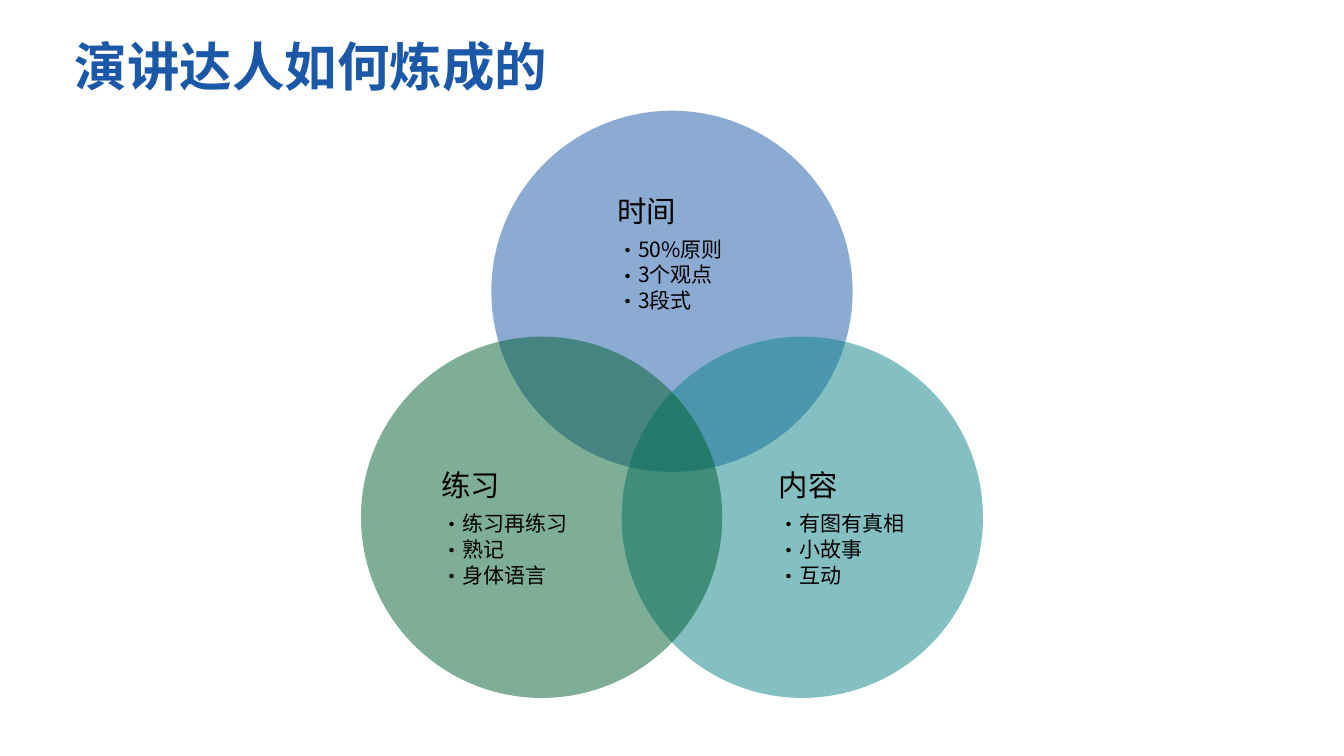
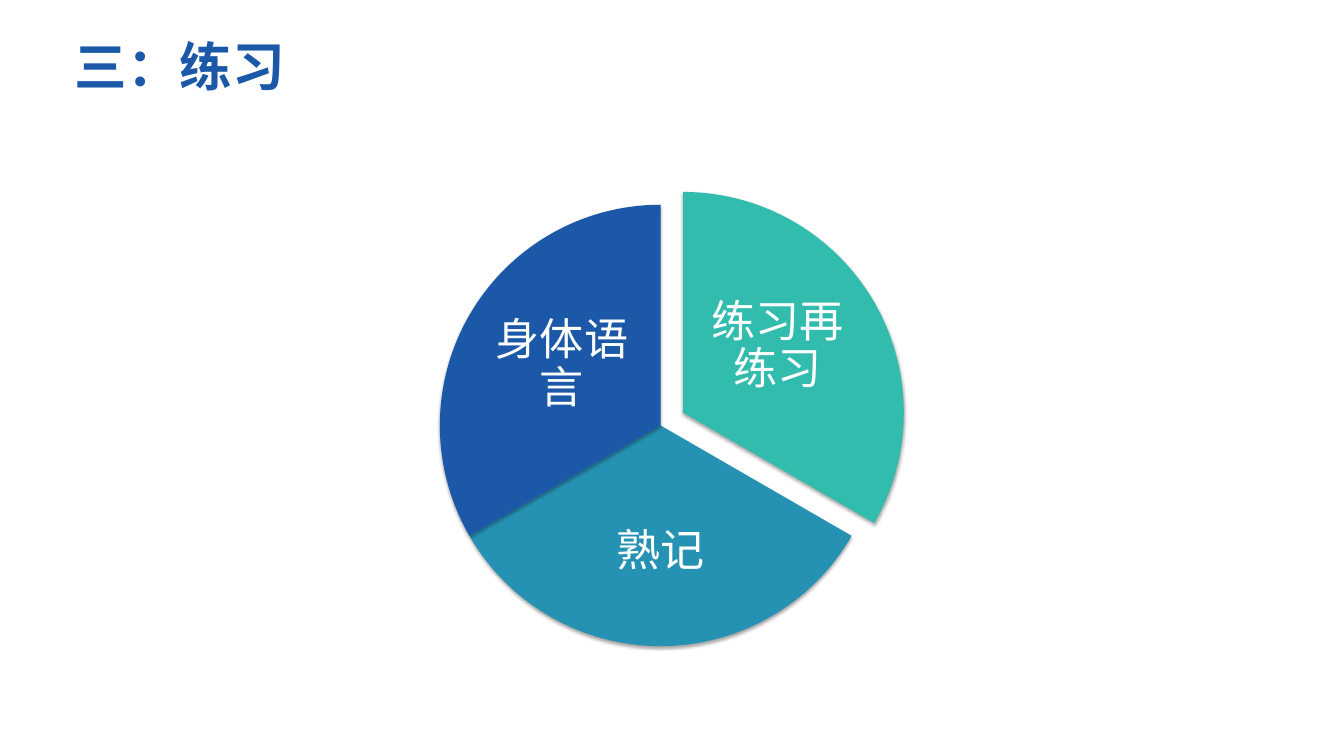
from lxml import etree
from pptx import Presentation
from pptx.dml.color import RGBColor
from pptx.enum.shapes import MSO_SHAPE as Shape
from pptx.enum.text import MSO_ANCHOR as Anchor, PP_ALIGN as Align
from pptx.oxml import parse_xml
from pptx.oxml.ns import nsdecls, qn
from pptx.util import Cm, Pt

COLORS = {"blue": "1B58A8", "teal": "0A8286", "green": "005E30",
          "mint": "32BCAD", "cyan": "2692B3", "black": "000000", "white": "FFFFFF"}
FONT = "Noto Sans CJK SC"
SHADOW = (f'<a:effectLst {nsdecls("a")}><a:outerShdw blurRad="40000" dist="23000" dir="5400000" '
          f'rotWithShape="0"><a:srgbClr val="{COLORS["black"]}"><a:alpha val="35000"/>'
          '</a:srgbClr></a:outerShdw></a:effectLst>')


def add_run(paragraph, text, size, color, bold=False):
    run = paragraph.add_run()
    run.text = text
    run.font.size = Pt(size)
    run.font.bold = bold
    run.font.name = FONT
    run.font.color.rgb = RGBColor.from_string(COLORS[color])
    etree.SubElement(run.font._element, qn("a:ea"), typeface=FONT)


def add_label(slide, left, top, width, height, inset):
    frame = slide.shapes.add_textbox(Cm(left), Cm(top), Cm(width), Cm(height)).text_frame
    frame.word_wrap = True
    frame.vertical_anchor = Anchor.MIDDLE
    frame.margin_left = frame.margin_right = Cm(inset)
    frame.margin_top = frame.margin_bottom = Cm(inset)
    return frame


prs = Presentation()
prs.slide_width, prs.slide_height = Cm(45.16), Cm(25.4)

slides = []
for heading in ("演讲达人如何炼成的", "三：练习"):
    slide = prs.slides.add_slide(prs.slide_layouts[5])
    title = slide.shapes.title
    title.left, title.top, title.width, title.height = Cm(2.26), Cm(1.02), Cm(40.64), Cm(4.24)
    title.text_frame.vertical_anchor = Anchor.TOP
    title.text_frame.paragraphs[0].alignment = Align.LEFT
    add_run(title.text_frame.paragraphs[0], heading, 50, "blue", bold=True)
    slides.append(slide)
venn_slide, pie_slide = slides

circle_size = 12.14
skills = [
    ("时间", ("50%原则", "3个观点", "3段式"), "blue",
     (16.51, 3.72), (18.14, 5.84, 8.92, 5.46), 2.6),
    ("内容", ("有图有真相", "小故事", "互动"), "teal",
     (20.89, 11.31), (24.61, 14.45, 7.29, 6.68), 1.56),
    ("练习", ("练习再练习", "熟记", "身体语言"), "green",
     (12.13, 11.31), (13.26, 14.45, 7.29, 6.68), 1.56),
]
for skill, points, color, (left, top), label_box, text_start in skills:
    circle = venn_slide.shapes.add_shape(
        Shape.OVAL, Cm(left), Cm(top), Cm(circle_size), Cm(circle_size))
    circle.shadow.inherit = False
    circle.fill.solid()
    circle.fill.fore_color.rgb = RGBColor.from_string(COLORS[color])
    circle.line.fill.background()
    etree.SubElement(circle._element.spPr.find(".//" + qn("a:srgbClr")), qn("a:alpha"), val="50000")

    label = add_label(venn_slide, *label_box, inset=0)
    label.margin_left = Cm(text_start)
    skill_line = label.paragraphs[0]
    skill_line.line_spacing = 0.9
    skill_line.space_after = Pt(10)
    add_run(skill_line, skill, 28, "black")
    for point in points:
        point_line = label.add_paragraph()
        point_line.level = 1
        point_line.line_spacing = 0.9
        point_line.space_after = Pt(3)
        add_run(point_line, point, 20, "black")
        properties = point_line._p.get_or_add_pPr()
        properties.set("marL", str(Cm(0.64)))
        properties.set("indent", str(-Cm(0.64)))
        etree.SubElement(properties, qn("a:buFont"), typeface=FONT)
        etree.SubElement(properties, qn("a:buChar"), char="•")

pie_size = 14.83
practices = [
    ("练习再练习", "mint", (15.54, 6.45), (162, 18), (23.62, 9.17, 5.03, 4.95)),
    ("熟记", "cyan", (14.78, 6.88), (18, 90), (18.85, 16.25, 6.71, 4.6)),
    ("身体语言", "blue", (14.78, 6.88), (90, 162), (16.37, 9.8, 5.03, 4.95)),
]
for practice, color, (left, top), (start, end), label_box in practices:
    sector = pie_slide.shapes.add_shape(
        Shape.PIE, Cm(left), Cm(top), Cm(pie_size), Cm(pie_size))
    sector.adjustments[0], sector.adjustments[1] = start, end
    sector.fill.solid()
    sector.fill.fore_color.rgb = RGBColor.from_string(COLORS[color])
    sector.line.fill.background()
    sector._element.spPr.append(parse_xml(SHADOW))

    practice_line = add_label(pie_slide, *label_box, inset=0.15).paragraphs[0]
    practice_line.alignment = Align.CENTER
    practice_line.line_spacing = 0.9
    add_run(practice_line, practice, 42, "white")

prs.save("out.pptx")
